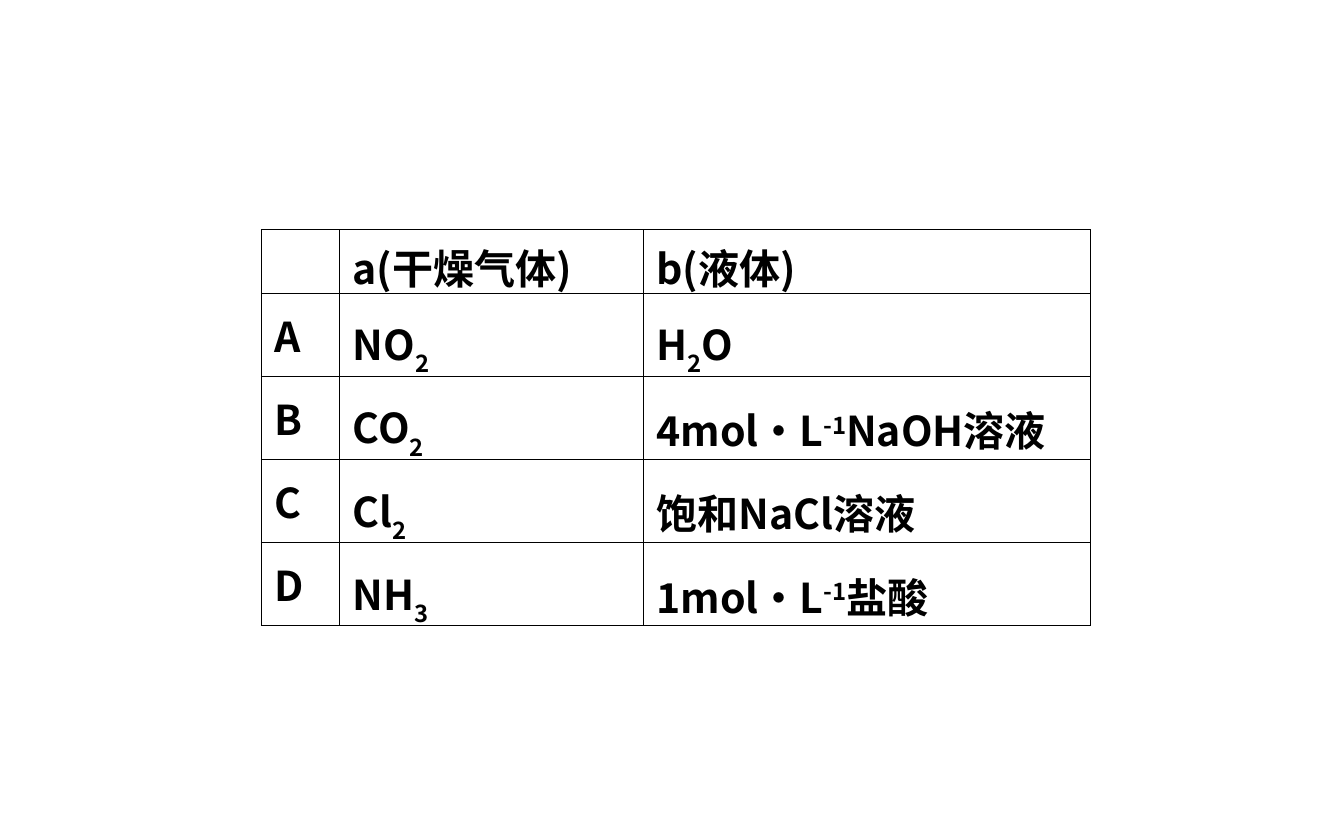
import pptx
import pptx.util
import pptx.dml.color
import pptx.enum.text
import pptx.oxml
import pptx.oxml.ns
from lxml import etree

Pt = pptx.util.Pt
qn = pptx.oxml.ns.qn
COLORS = {"text": "000000", "border": "000000"}
FONT = "Noto Sans CJK SC"
THIN, THICK = 0.45, 0.75
BASELINES = {"_": "-30000", "^": "30000"}
COL_WIDTHS = [41.8, 162.7, 239.8]
ROW_HEIGHTS = [33.8] + [44.6] * 4
ROWS = [
    ["", "a(干燥气体)", "b(液体)"],
    ["A", "NO|_2", "H|_2|O"],
    ["B", "CO|_2", "4mol·L|^-1|NaOH溶液"],
    ["C", "Cl|_2", "饱和NaCl溶液"],
    ["D", "NH|_3", "1mol·L|^-1|盐酸"],
]


def set_borders(cell, widths):
    tc_pr = cell._tc.get_or_add_tcPr()
    for i, (side, width) in enumerate(widths.items()):
        ln = etree.Element(qn("a:ln" + side), w=str(Pt(width)))
        fill = etree.SubElement(ln, qn("a:solidFill"))
        etree.SubElement(fill, qn("a:srgbClr"), val=COLORS["border"])
        tc_pr.insert(i, ln)


def write_formula(p, text):
    for part in filter(None, text.split("|")):
        r = p.add_run()
        r.text = part.lstrip("_^")
        if part[0] in BASELINES:
            r.font._element.set("baseline", BASELINES[part[0]])
    p.font.size = Pt(22)
    p.font.bold = True
    p.font.name = FONT
    p.font.color.rgb = pptx.dml.color.RGBColor.from_string(COLORS["text"])
    etree.SubElement(p.font._element, qn("a:ea"), typeface=FONT)


def add_reagent_table(s, left, top):
    table = s.shapes.add_table(len(ROWS), len(COL_WIDTHS), Pt(left), Pt(top),
                               Pt(sum(COL_WIDTHS)), Pt(sum(ROW_HEIGHTS))).table
    table.first_row = table.horz_banding = False
    for column, width in zip(table.columns, COL_WIDTHS):
        column.width = Pt(width)
    for row, height in zip(table.rows, ROW_HEIGHTS):
        row.height = Pt(height)
    last_row, last_col = len(ROWS) - 1, len(COL_WIDTHS) - 1
    for i, texts in enumerate(ROWS):
        for j, text in enumerate(texts):
            cell = table.cell(i, j)
            cell.fill.background()
            cell.vertical_anchor = pptx.enum.text.MSO_ANCHOR.MIDDLE
            cell.margin_left = cell.margin_right = Pt(7.2)
            cell.margin_top = Pt(3.6)
            cell.margin_bottom = Pt(3.6 if i and not j else -2)
            p = cell.text_frame.paragraphs[0]
            if i and j:
                p.line_spacing = 1.2
            write_formula(p, text)
            set_borders(cell, {
                "L": THIN if j else THICK,
                "R": THICK if j == last_col else THIN,
                "T": THIN if i else THICK,
                "B": THICK if i == last_row else THIN,
            })


def main():
    prs = pptx.Presentation()
    prs.slide_width, prs.slide_height = Pt(720), Pt(450)
    s = prs.slides.add_slide(prs.slide_layouts[6])
    add_reagent_table(s, 140, 123.1)
    prs.save("out.pptx")


if __name__ == "__main__":
    main()
